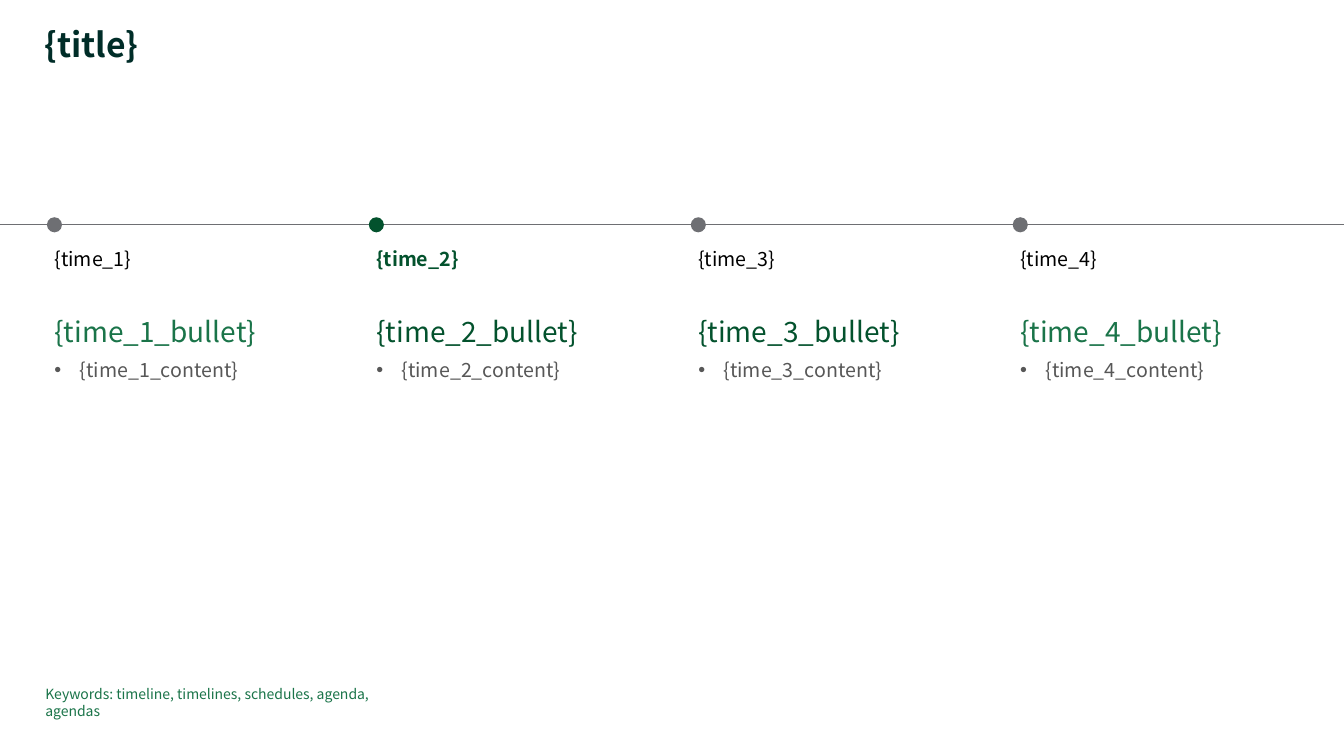
from lxml.etree import SubElement
from pptx import Presentation
from pptx.dml.color import RGBColor
from pptx.enum.shapes import MSO_CONNECTOR, MSO_SHAPE
from pptx.enum.text import MSO_ANCHOR, MSO_AUTO_SIZE, PP_ALIGN
from pptx.oxml.ns import qn
from pptx.util import Inches, Pt

FONT = "Noto Sans CJK JP"
INK = RGBColor(0x00, 0x2D, 0x28)
DARK_GREEN = RGBColor(0x03, 0x52, 0x2D)
GREEN = RGBColor(0x1A, 0x74, 0x49)
GRAY = RGBColor(0x6E, 0x6F, 0x73)
TEXT_GRAY = RGBColor(0x57, 0x57, 0x57)
BLACK = RGBColor(0x00, 0x00, 0x00)

TITLE = "{title}"
KEYWORDS = "Keywords: timeline, timelines, schedules, agenda, agendas"
MILESTONES = [
    ("{time_1}", "{time_1_bullet}", "{time_1_content}", False, GREEN),
    ("{time_2}", "{time_2_bullet}", "{time_2_content}", True, DARK_GREEN),
    ("{time_3}", "{time_3_bullet}", "{time_3_content}", False, DARK_GREEN),
    ("{time_4}", "{time_4_bullet}", "{time_4_content}", False, GREEN),
]

SLIDE_WIDTH = 13.33
FIRST_LEFT, COLUMN_STEP = 0.54, 3.193
LINE_TOP, DOT_SIZE = 2.23, 0.15


def place(shape, left, top, width, height):
    """Move and size a shape, in inches."""
    shape.left, shape.top = Inches(left), Inches(top)
    shape.width, shape.height = Inches(width), Inches(height)


def write(shape, text, size, color, bold=False, bullet=False):
    """Fill a shape with one formatted paragraph."""
    frame = shape.text_frame
    frame.text = text
    frame.word_wrap = True
    frame.auto_size = MSO_AUTO_SIZE.NONE
    frame.vertical_anchor = MSO_ANCHOR.TOP
    frame.margin_left = frame.margin_right = 0
    frame.margin_top = frame.margin_bottom = 0
    paragraph = frame.paragraphs[0]
    paragraph.alignment = PP_ALIGN.LEFT
    if bullet:
        properties = paragraph._p.get_or_add_pPr()
        properties.set("marL", str(Inches(0.25)))
        properties.set("indent", str(-Inches(0.25)))
        SubElement(properties, qn("a:buFont"), typeface="Arial")
        SubElement(properties, qn("a:buChar"), char="•")
    font = paragraph.runs[0].font
    font.name, font.size, font.bold = FONT, Pt(size), bold
    font.color.rgb = color
    return paragraph


def add_text(slide, box, text, size, color, **style):
    """Add a text box at left, top, width, height."""
    shape = slide.shapes.add_textbox(*map(Inches, box))
    write(shape, text, size, color, **style)


def add_dot(slide, center, color):
    """Add a milestone dot on the timeline."""
    dot = slide.shapes.add_shape(
        MSO_SHAPE.OVAL, Inches(center - DOT_SIZE / 2), Inches(LINE_TOP - DOT_SIZE / 2),
        Inches(DOT_SIZE), Inches(DOT_SIZE))
    dot.shadow.inherit = False
    dot.fill.solid()
    dot.fill.fore_color.rgb = color
    dot.line.fill.background()


def main():
    """Build the timeline slide."""
    presentation = Presentation()
    presentation.slide_width, presentation.slide_height = Inches(SLIDE_WIDTH), Inches(7.5)
    slide = presentation.slides.add_slide(presentation.slide_layouts[5])

    title = slide.shapes.title
    place(title, 0.44, 0.28, 11.03, 0.37)
    write(title, TITLE, 24, INK, bold=True).line_spacing = 0.9

    timeline = slide.shapes.add_connector(
        MSO_CONNECTOR.STRAIGHT, 0, Inches(LINE_TOP), Inches(SLIDE_WIDTH), Inches(LINE_TOP))
    timeline.line.color.rgb = GRAY
    timeline.line.width = Pt(0.5)
    SubElement(timeline._element.spPr, qn("a:effectLst"))

    for index, (time, heading, content, current, heading_color) in enumerate(MILESTONES):
        left = FIRST_LEFT + index * COLUMN_STEP
        add_dot(slide, left, DARK_GREEN if current else GRAY)
        add_text(slide, (left, 2.45, 2.71, 0.24), time, 14,
                 DARK_GREEN if current else BLACK, bold=current)
        add_text(slide, (left, 3.12, 2.8, 0.34), heading, 20, heading_color)
        add_text(slide, (left, 3.55, 2.8, 0.24), content, 14, TEXT_GRAY, bullet=True)

    add_text(slide, (0.45, 6.8, 3.66, 0.17), KEYWORDS, 10, GREEN)
    presentation.save("out.pptx")


if __name__ == "__main__":
    main()
